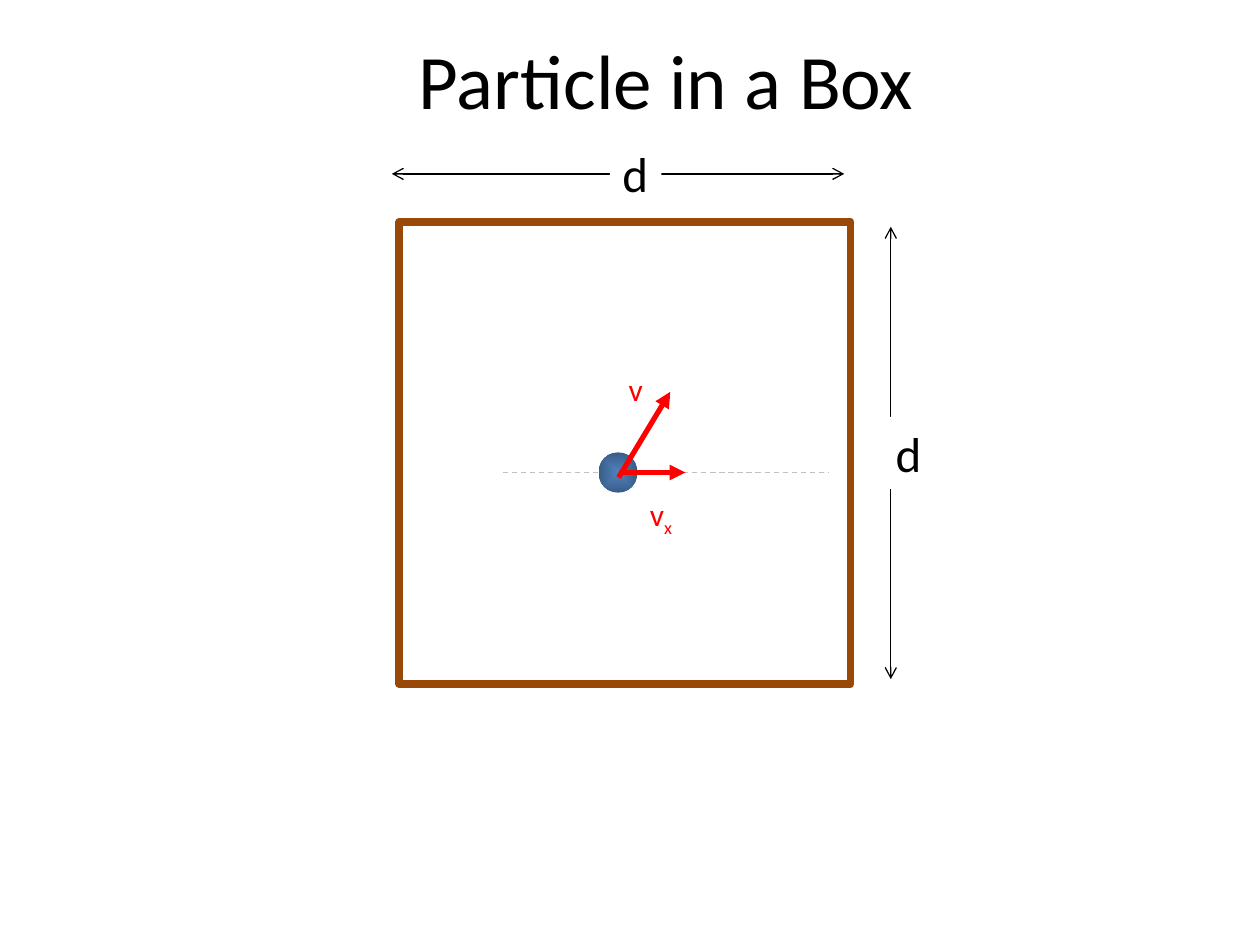
from lxml import etree
from pptx import Presentation
from pptx.dml.color import RGBColor
from pptx.enum import dml, shapes, text
from pptx.oxml.ns import qn
from pptx.util import Inches, Pt

BLACK, RED, WHITE = "000000", "FF0000", "FFFFFF"


def paint(color, code):
    color.rgb = RGBColor.from_string(code)


def style(para, size, code):
    para.font.name = "Calibri"
    para.font.size = Pt(size)
    paint(para.font.color, code)


def add_title(slide, words):
    title = slide.shapes.title
    title.left, title.top = Inches(1.75), Inches(0)
    title.width, title.height = Inches(7.08), Inches(1.25)
    frame = title.text_frame
    frame.text = words
    frame.vertical_anchor = text.MSO_ANCHOR.MIDDLE
    frame.paragraphs[0].alignment = text.PP_ALIGN.CENTER
    style(frame.paragraphs[0], 44, BLACK)


def add_line(slide, start, end, code, width, head=None, tail=None, dash=None):
    line = slide.shapes.add_connector(
        shapes.MSO_CONNECTOR.STRAIGHT, *map(Inches, start + end))
    paint(line.line.color, code)
    line.line.width = Pt(width)
    if dash:
        line.line.dash_style = dash
    props = line._element.spPr
    for tag, kind in (("a:headEnd", head), ("a:tailEnd", tail)):
        if kind:
            etree.SubElement(props.find(qn("a:ln")), qn(tag), type=kind)
    etree.SubElement(props, qn("a:effectLst"))


def add_shape(slide, kind, box):
    shape = slide.shapes.add_shape(kind, *map(Inches, box))
    shape.shadow.inherit = False
    return shape


def add_ball(slide, box):
    ball = add_shape(slide, shapes.MSO_SHAPE.OVAL, box)
    ball.line.fill.background()
    ball.fill.gradient()
    for stop, code in zip(ball.fill.gradient_stops, ("4F81BD", "395C87")):
        paint(stop.color, code)
    # Shade from the centre outwards
    grad = ball._element.spPr.find(qn("a:gradFill"))
    grad.remove(grad.find(qn("a:lin")))
    route = etree.SubElement(grad, qn("a:path"), path="shape")
    etree.SubElement(route, qn("a:fillToRect"),
                     {side: "50000" for side in "ltrb"})


def add_wall(slide, box):
    wall = add_shape(slide, shapes.MSO_SHAPE.RECTANGLE, box)
    wall.fill.background()
    paint(wall.line.color, "984807")
    wall.line.width = Pt(4.5)


def add_label(slide, box, words, size, code, sub="", fill=None):
    label = slide.shapes.add_textbox(*map(Inches, box))
    if fill:
        label.fill.solid()
        paint(label.fill.fore_color, fill)
    frame = label.text_frame
    frame.word_wrap = fill is None
    frame.auto_size = text.MSO_AUTO_SIZE.SHAPE_TO_FIT_TEXT
    para = frame.paragraphs[0]
    para.add_run().text = words
    if sub:
        run = para.add_run()
        run.text = sub
        run.font._element.set("baseline", "-25000")
    style(para, size, code)


def add_span(slide, start, end, spot):
    """Double-headed measure with its letter over the line."""
    add_line(slide, start, end, BLACK, 0.75, "arrow", "arrow")
    add_label(slide, spot + (0.41, 0.57), "d", 28, BLACK, fill=WHITE)


def main():
    deck = Presentation()
    deck.slide_width, deck.slide_height = Inches(10), Inches(7.5)
    slide = deck.slides.add_slide(deck.slide_layouts[5])
    add_title(slide, "Particle in a Box")

    # Particle on its axis, with the x velocity
    add_line(slide, (3.99, 3.75), (6.57, 3.75), "C0C0C0", 0.75,
             dash=dml.MSO_LINE.DASH)
    add_ball(slide, (4.75, 3.59, 0.31, 0.32))
    add_line(slide, (4.91, 3.75), (5.44, 3.75), RED, 3, tail="triangle")
    add_label(slide, (5.06, 3.88, 0.71, 0.4), "v", 18, RED, sub="x")

    # Box and its two measures
    add_wall(slide, (3.17, 1.76, 3.58, 3.67))
    add_span(slide, (3.11, 1.38), (6.7, 1.38), (4.84, 1.09))
    add_span(slide, (7.07, 1.8), (7.07, 5.39), (7.01, 3.31))

    # Full velocity
    add_line(slide, (4.91, 3.79), (5.32, 3.11), RED, 3, tail="triangle")
    add_label(slide, (4.89, 2.89, 0.71, 0.4), "v", 18, RED)

    deck.save("out.pptx")


if __name__ == "__main__":
    main()
